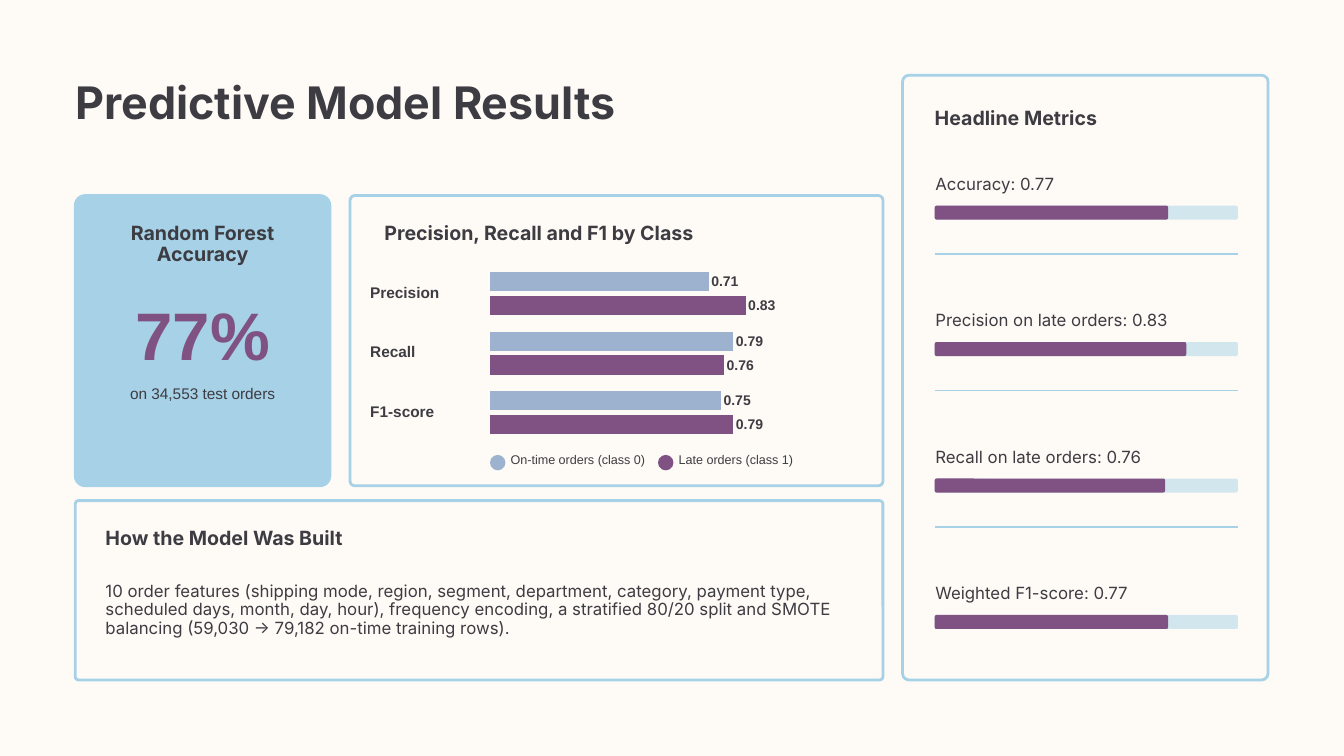
"""Build the predictive model results slide."""
import pptx
import pptx.util
import pptx.chart.data
import pptx.dml.color
import pptx.enum.chart
import pptx.enum.shapes
import pptx.enum.text
import lxml.etree

Pt = pptx.util.Pt
Align = pptx.enum.text.PP_ALIGN
Shape = pptx.enum.shapes.MSO_SHAPE

COLOURS = {"paper": "FEFBF6", "ink": "3D3C42", "sky": "A6D1E6", "plum": "7F5283",
           "steel": "9DB2CE", "track": "D2E6EE"}

STYLES = {
    "title": {"size": 48, "name": "Inter", "bold": True},
    "heading": {"size": 21, "name": "Inter", "bold": True},
    "body": {"size": 18, "name": "Inter", "bold": False},
    "figure": {"size": 72, "name": "Arial", "bold": True},
    "caption": {"size": 16.5, "name": "Arial", "bold": False},
    "category": {"size": 16.5, "name": "Arial", "bold": True},
    "value": {"size": 15, "name": "Arial", "bold": True},
    "legend": {"size": 13.5, "name": "Arial", "bold": False},
}

TITLE = "Predictive Model Results"
METRICS = [("Accuracy", 0.77), ("Precision on late orders", 0.83),
           ("Recall on late orders", 0.76), ("Weighted F1-score", 0.77)]
CATEGORIES = ["Precision", "Recall", "F1-score"]
SERIES = [("On-time orders (class 0)", "steel", (0.71, 0.79, 0.75)),
          ("Late orders (class 1)", "plum", (0.83, 0.76, 0.79))]
METHOD = ("10 order features (shipping mode, region, segment, department, category, "
          "payment type, scheduled days, month, day, hour), frequency encoding, "
          "a stratified 80/20 split and SMOTE balancing "
          "(59,030 → 79,182 on-time training rows).")

CARDS = [
    ((80.6, 209.5, 272.9, 311), 10.8, "sky"),
    ((967, 80.6, 391.7, 648), 7, None),
    ((80.6, 536.4, 865.4, 192.2), 3.5, None),
    ((375.1, 209.5, 571, 311), 5, None),
]
TEXTS = [
    ("Random Forest\nAccuracy", (80.6, 238.3, 272.9, 45.4), "heading", "ink", Align.CENTER),
    ("77%", (80.6, 321.8, 272.9, 82.8), "figure", "plum", Align.CENTER),
    ("on 34,553 test orders", (80.6, 413.3, 272.9, 20), "caption", "ink", Align.CENTER),
    ("Headline Metrics", (1001.5, 115.2, 323.3, 23), "heading", "ink", Align.LEFT),
    ("Precision, Recall and F1 by Class", (411.8, 239, 525, 23), "heading", "ink", Align.LEFT),
    ("How the Model Was Built", (113, 566, 795, 23), "heading", "ink", Align.LEFT),
    (METHOD, (113, 623.5, 795, 59), "body", "ink", Align.LEFT),
]
TITLE_AREA = (80.6, 85, 886, 53.3)
PLOT = (525, 282.9, 330, 191.2)
TRACK_LEFT, TRACK_WIDTH, METRIC_STEP = 1001.5, 324.7, 146.2


def rgb(colour):
    return pptx.dml.color.RGBColor.from_string(COLOURS[colour])


def set_all(target, values):
    for name, value in values.items():
        setattr(target, name, value)


def format_font(font, style, colour):
    set_all(font, {**STYLES[style], "size": Pt(STYLES[style]["size"])})
    font.color.rgb = rgb(colour)


def place(item, area):
    set_all(item, dict(zip(("left", "top", "width", "height"), map(Pt, area))))


def write(box, text, style, colour="ink", align=Align.LEFT):
    frame = box.text_frame
    set_all(frame, {"margin_left": 0, "margin_top": 0, "margin_right": 0,
                    "margin_bottom": 0, "word_wrap": True,
                    "auto_size": pptx.enum.text.MSO_AUTO_SIZE.NONE,
                    "vertical_anchor": pptx.enum.text.MSO_ANCHOR.TOP})
    frame.text = text
    for para in frame.paragraphs:
        set_all(para, {"alignment": align, "space_before": Pt(0),
                       "line_spacing": Pt(STYLES[style]["size"] * 1.1)})
        for span in para.runs:
            format_font(span.font, style, colour)


def add_text(page, text, area, style, colour="ink", align=Align.LEFT):
    write(page.shapes.add_textbox(*map(Pt, area)), text, style, colour, align)


def add_block(page, area, fill, radius=None, line=None):
    kind = Shape.OVAL if radius is None else Shape.ROUNDED_RECTANGLE
    block = page.shapes.add_shape(kind, *map(Pt, area))
    block.shadow.inherit = False
    if radius is not None:
        block.adjustments[0] = radius / min(area[2:])
    if fill:
        block.fill.solid()
        block.fill.fore_color.rgb = rgb(fill)
    else:
        block.fill.background()
    if line:
        block.line.color.rgb = rgb(line)
        block.line.width = Pt(3)
    else:
        block.line.fill.background()


def add_divider(page, top):
    ends = (TRACK_LEFT, top, TRACK_LEFT + TRACK_WIDTH, top)
    line = page.shapes.add_connector(pptx.enum.shapes.MSO_CONNECTOR.STRAIGHT, *map(Pt, ends))
    line.line.color.rgb = rgb("sky")
    line.line.width = Pt(1.5)
    properties = line.element.spPr
    lxml.etree.SubElement(properties, pptx.oxml.ns.qn("a:effectLst"))


def add_metrics(page):
    for index, (label, value) in enumerate(METRICS):
        shift = index * METRIC_STEP
        add_text(page, f"{label}: {value:.2f}", (1002.2, 187.9 + shift, 322.6, 20), "body")
        for width, fill in ((TRACK_WIDTH, "track"), (TRACK_WIDTH * value, "plum")):
            add_block(page, (TRACK_LEFT, 220.3 + shift, width, 15), fill, 2)
        if index < len(METRICS) - 1:
            add_divider(page, 272.2 + shift)


def fill_plot_area(chart):
    area = chart.element.chart.plotArea
    for old in area.findall(pptx.oxml.ns.qn("c:layout")):
        area.remove(old)
    layout = lxml.etree.Element(pptx.oxml.ns.qn("c:layout"))
    manual = lxml.etree.SubElement(layout, pptx.oxml.ns.qn("c:manualLayout"))
    for tag, value in (("layoutTarget", "inner"), ("xMode", "edge"), ("yMode", "edge"),
                       ("x", "0"), ("y", "0"), ("w", "1"), ("h", "1")):
        lxml.etree.SubElement(manual, pptx.oxml.ns.qn("c:" + tag)).set("val", value)
    area.insert(0, layout)


def add_class_chart(page):
    data = pptx.chart.data.CategoryChartData(number_format="0.00")
    data.categories = CATEGORIES
    for name, _, values in SERIES:
        data.add_series(name, values)
    kind = pptx.enum.chart.XL_CHART_TYPE.BAR_CLUSTERED
    chart = page.shapes.add_chart(kind, *map(Pt, PLOT), data).chart
    set_all(chart, {"has_legend": False, "has_title": False})
    format_font(chart.font, "value", "ink")
    set_all(chart.category_axis, {"visible": False, "reverse_order": True})
    set_all(chart.value_axis, {"visible": False, "has_major_gridlines": False,
                               "minimum_scale": 0, "maximum_scale": 1})
    plot = chart.plots[0]
    set_all(plot, {"gap_width": 83, "overlap": -23, "vary_by_categories": False,
                   "has_data_labels": True})
    set_all(plot.data_labels, {"show_value": True, "number_format": "0.00",
                               "number_format_is_linked": False,
                               "position": pptx.enum.chart.XL_LABEL_POSITION.OUTSIDE_END})
    format_font(plot.data_labels.font, "value", "ink")
    for series, (_, colour, _) in zip(plot.series, SERIES):
        series.format.fill.solid()
        series.format.fill.fore_color.rgb = rgb(colour)
    fill_plot_area(chart)
    for index, name in enumerate(CATEGORIES):
        top = 304.6 + index * PLOT[3] / len(CATEGORIES)
        add_text(page, name, (396.7, top, 112.3, 20), "category")
    for index, (name, colour, _) in enumerate(SERIES):
        left = PLOT[0] + index * 180
        add_block(page, (left, 487.4, 16.6, 16.6), colour)
        add_text(page, name, (left + 22.2, 485.3, 150, 16), "legend")


def main():
    deck = pptx.Presentation()
    set_all(deck, {"slide_width": Pt(1440), "slide_height": Pt(810)})
    page = deck.slides.add_slide(deck.slide_layouts[5])
    page.background.fill.solid()
    page.background.fill.fore_color.rgb = rgb("paper")
    place(page.shapes.title, TITLE_AREA)
    write(page.shapes.title, TITLE, "title")
    for area, radius, fill in CARDS:
        add_block(page, area, fill, radius, "sky")
    for text in TEXTS:
        add_text(page, *text)
    add_metrics(page)
    add_class_chart(page)
    deck.save("out.pptx")


if __name__ == "__main__":
    main()
